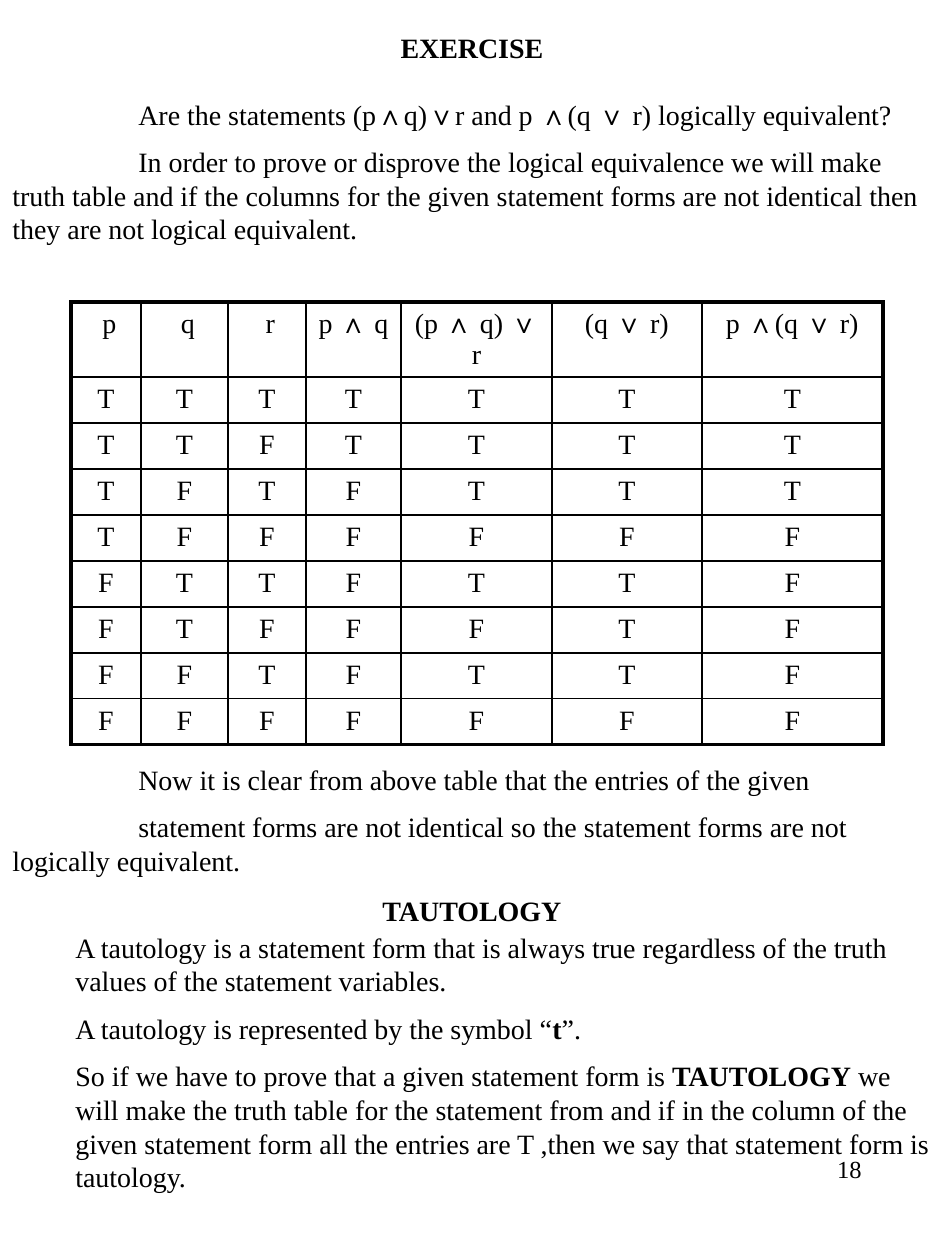
"""Build the truth table exercise and tautology slide."""
import itertools

import lxml.etree
import pptx
import pptx.dml.color
import pptx.enum.text
import pptx.oxml.ns
import pptx.util

BLACK = pptx.dml.color.RGBColor(0, 0, 0)
WHITE = pptx.dml.color.RGBColor(255, 255, 255)
ALIGN = pptx.enum.text.PP_ALIGN
ANCHOR = pptx.enum.text.MSO_ANCHOR
FIT = pptx.enum.text.MSO_AUTO_SIZE


def px(num):
    return pptx.util.Emu(round(num * 914400 / 126))


def write(para, text, size=16, bold=False, align=ALIGN.LEFT, font="Times New Roman"):
    para.alignment = align
    for num, part in enumerate(text.split("*")):
        run = para.add_run()
        run.text = part
        run.font.name = font
        run.font.size = pptx.util.Pt(size)
        run.font.bold = bold or num % 2 == 1
        run.font.color.rgb = BLACK


class Page:
    def __init__(self, deck):
        self.slide = deck.slides.add_slide(deck.slide_layouts[5])
        self.slide.background.fill.solid()
        self.slide.background.fill.fore_color.rgb = WHITE
        self.thin, self.thick = 1, 2.25

    def title(self, text, x, y, w, h):
        shape = self.slide.shapes.title
        shape.left, shape.top, shape.width, shape.height = map(px, (x, y, w, h))
        self.fill(shape.text_frame, text, bold=True, align=ALIGN.CENTER)

    def fill(self, frame, text, **style):
        frame.word_wrap = True
        frame.auto_size = FIT.NONE
        frame.vertical_anchor = ANCHOR.MIDDLE
        write(frame.paragraphs[0], text, **style)

    def box(self, x, y, w, h):
        return self.slide.shapes.add_textbox(*map(px, (x, y, w, h))).text_frame

    def label(self, text, x, y, w, h, anchor=ANCHOR.MIDDLE, **style):
        frame = self.box(x, y, w, h)
        self.fill(frame, text, **style)
        frame.vertical_anchor = anchor

    def body(self, texts, y, h, left=0, first=0):
        frame = self.box(0, y, 945, h)
        frame.word_wrap = True
        frame.auto_size = FIT.SHAPE_TO_FIT_TEXT
        for num, text in enumerate(texts):
            para = frame.add_paragraph() if num else frame.paragraphs[0]
            para.space_before = pptx.util.Pt(8 if num else 0)
            para.line_spacing = pptx.util.Pt(19.2)
            props = para._p.get_or_add_pPr()
            props.set("marL", str(px(left)))
            props.set("indent", str(px(first)))
            write(para, text)

    def edge(self, cell, side, width):
        qn = pptx.oxml.ns.qn
        props = cell._tc.get_or_add_tcPr()
        line = lxml.etree.SubElement(props, qn("a:ln" + side), w=str(pptx.util.Pt(width)))
        paint = lxml.etree.SubElement(line, qn("a:solidFill"))
        lxml.etree.SubElement(paint, qn("a:srgbClr"), val=str(BLACK))

    def table(self, rows, x, y, cols, highs):
        shape = self.slide.shapes.add_table(
            len(rows), len(cols), px(x), px(y), px(sum(cols)), px(sum(highs)))
        grid = shape.table
        grid.first_row = grid.horz_banding = False
        for col, width in zip(grid.columns, cols):
            col.width = px(width)
        for row, high in zip(grid.rows, highs):
            row.height = px(high)
        for r, row in enumerate(rows):
            for c, text in enumerate(row):
                cell = grid.cell(r, c)
                outer = {"L": c == 0, "R": c == len(cols) - 1,
                         "T": r == 0, "B": r == len(rows) - 1}
                for side, rim in outer.items():
                    self.edge(cell, side, self.thick if rim else self.thin)
                cell.fill.background()
                write(cell.text_frame.paragraphs[0], text, align=ALIGN.CENTER)


def truth():
    rows = [[" p", " q", " r", "p ∧ q", "(p ∧ q) ∨ r", "(q ∨ r)", "p ∧(q ∨ r)"]]
    for p, q, r in itertools.product((True, False), repeat=3):
        vals = p, q, r, p and q, (p and q) or r, q or r, p and (q or r)
        rows.append(["T" if val else "F" for val in vals])
    return rows


def main():
    deck = pptx.Presentation()
    deck.slide_width, deck.slide_height = px(945), px(1260)
    page = Page(deck)
    page.label("18", 678, 1148, 196, 84, anchor=ANCHOR.TOP, size=14, align=ALIGN.RIGHT)
    page.title("EXERCISE", 70, 0, 804, 94)
    page.table(truth(), 71, 302, [70, 87, 78, 95, 151, 150, 181], [62] + [46] * 8)
    page.body([
        "Are the statements (p∧q)∨r and p ∧(q ∨ r) logically equivalent?",
        "In order to prove or disprove the logical equivalence we will make truth table "
        "and if the columns for the given statement forms are not identical then "
        "they are not logical equivalent.",
    ], 91, 164, first=126)
    page.body([
        "Now it is clear from above table that the entries of the given",
        "statement forms are not identical so the statement forms are not "
        "logically equivalent.",
    ], 756, 131, first=126)
    page.label("TAUTOLOGY", 70, 872, 804, 77, bold=True, align=ALIGN.CENTER)
    page.body([
        "A tautology is a statement form that is always true regardless of the truth "
        "values of the statement variables.",
        "A tautology is represented by the symbol “*t*”.",
        "So if we have to prove that a given statement form is* TAUTOLOGY* we will make "
        "the truth table for the statement from and if in the column of the given "
        "statement form all the entries are T ,then we say that statement form is tautology.",
    ], 924, 282, left=63)
    deck.save("out.pptx")


if __name__ == "__main__":
    main()
